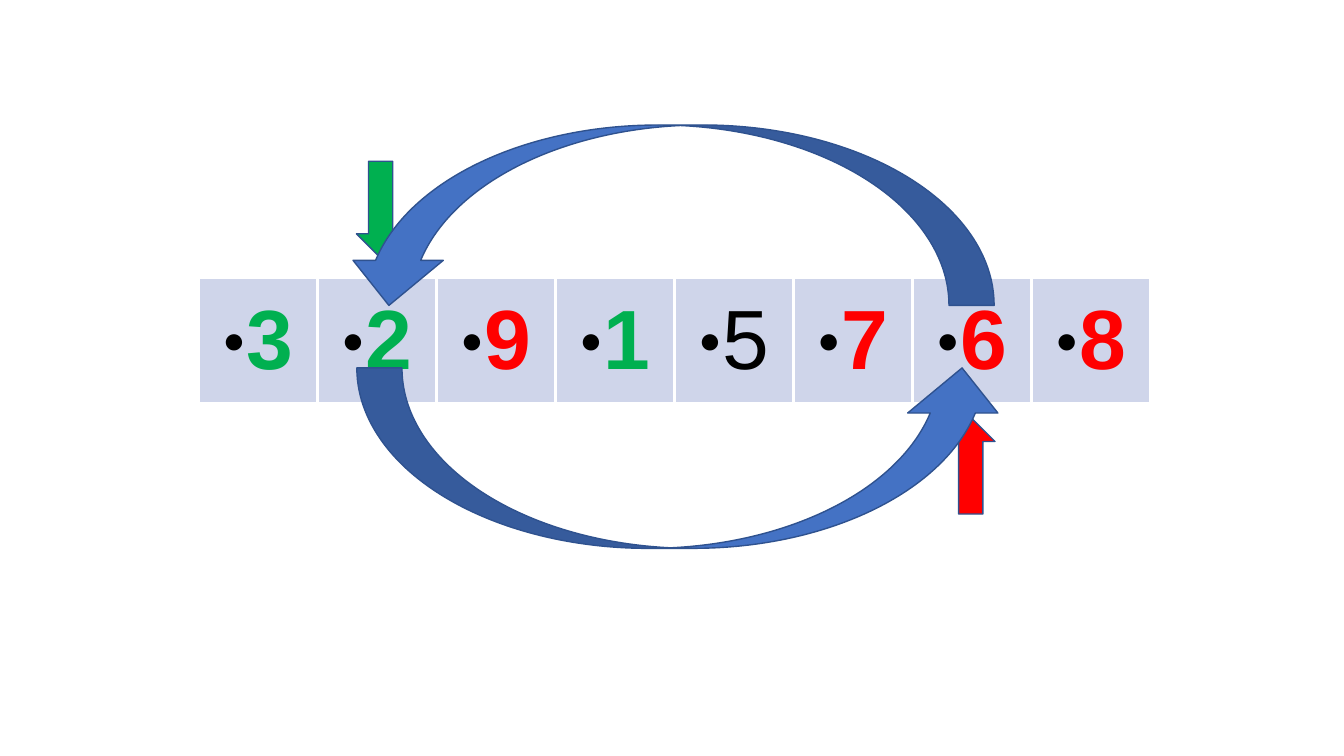
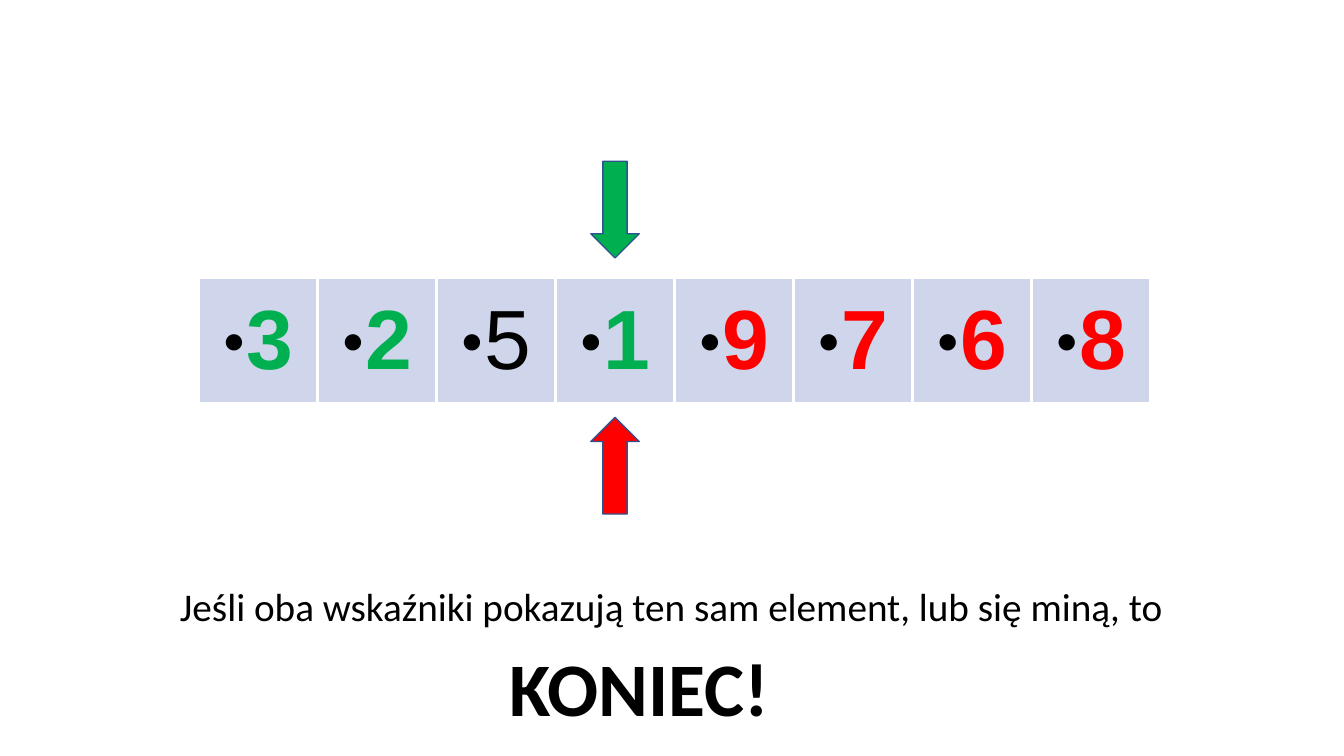
from lxml import etree
from pptx import Presentation, util as u
from pptx.dml.color import RGBColor
from pptx.enum import shapes, text
from pptx.oxml.ns import qn

GREEN = RGBColor(0x00, 0xB0, 0x50)
RED = RGBColor(0xFF, 0x00, 0x00)
BLACK = RGBColor(0x00, 0x00, 0x00)
WHITE = RGBColor(0xFF, 0xFF, 0xFF)
CELL_FILL = RGBColor(0xCF, 0xD5, 0xEA)
SWAP_BLUE = RGBColor(0x44, 0x72, 0xC4)
OUTLINE = RGBColor(0x2F, 0x52, 0x8F)

PIVOT = 5
COLUMN, ROW = u.Inches(1.18), u.Inches(1.24)
LEFT, TOP = u.Inches(1.97), u.Inches(2.76)
POINTER_WIDTH, POINTER_HEIGHT = u.Inches(0.48), u.Inches(0.96)
GREEN_TOP, RED_TOP = u.Inches(1.6), u.Inches(4.14)
SWAP_WIDTH, SWAP_HEIGHT = u.Inches(6.45), u.Inches(1.79)
INDENT = u.Inches(0.24)

# Pointers are column positions; swaps are (left column, top in inches, rotation).
STEPS = [
    dict(numbers=[3, 2, 9, 1, 5, 7, 6, 8], pointers=(1.53, 6.49),
         swaps=[(1.33, 3.65, 0), (1.22, 1.24, 180)], captions=[]),
    dict(numbers=[3, 2, 5, 1, 9, 7, 6, 8], pointers=(3.5, 3.5), swaps=[],
         captions=[
             ("Jeśli oba wskaźniki pokazują ten sam element, lub się miną, to",
              (0.54, 5.73, 12.23, 0.57), 28, False, True),
             ("KONIEC!", (4.95, 6.31, 2.78, 1), 54, True, False)]),
]


def add_arrow(slide, preset, left, top, width, height, color):
    arrow = slide.shapes.add_shape(preset, int(left), int(top), width, height)
    arrow.shadow.inherit = False
    arrow.fill.solid()
    arrow.fill.fore_color.rgb = color
    arrow.line.color.rgb = OUTLINE
    arrow.line.width = u.Pt(1)
    return arrow


def add_bullet_and_borders(cell):
    """Give the cell's paragraph a small black bullet and the cell white borders."""
    properties = cell.text_frame.paragraphs[0]._p.get_or_add_pPr()
    properties.set("marL", str(INDENT))
    properties.set("indent", str(-INDENT))
    color = etree.SubElement(properties, qn("a:buClr"))
    etree.SubElement(color, qn("a:srgbClr"), val=str(BLACK))
    etree.SubElement(properties, qn("a:buSzPct"), val="45000")
    etree.SubElement(properties, qn("a:buFont"), typeface="Arial")
    etree.SubElement(properties, qn("a:buChar"), char="●")
    cell_properties = cell._tc.get_or_add_tcPr()
    for position, side in enumerate(("lnL", "lnR", "lnT", "lnB")):
        border = etree.Element(qn(f"a:{side}"), w=str(u.Pt(1.98)))
        fill = etree.SubElement(border, qn("a:solidFill"))
        etree.SubElement(fill, qn("a:srgbClr"), val=str(WHITE))
        cell_properties.insert(position, border)


presentation = Presentation()
presentation.slide_width = u.Inches(13.33)
presentation.slide_height = u.Inches(7.5)

for step in STEPS:
    slide = presentation.slides.add_slide(presentation.slide_layouts[6])

    numbers = step["numbers"]
    table = slide.shapes.add_table(
        1, len(numbers), LEFT, TOP, COLUMN * len(numbers), ROW).table
    table.first_row = table.horz_banding = False
    for index, number in enumerate(numbers):
        table.columns[index].width = COLUMN
        cell = table.cell(0, index)
        cell.fill.solid()
        cell.fill.fore_color.rgb = CELL_FILL
        cell.vertical_anchor = text.MSO_ANCHOR.MIDDLE
        cell.text_frame.text = str(number)
        paragraph = cell.text_frame.paragraphs[0]
        paragraph.alignment = text.PP_ALIGN.CENTER
        add_bullet_and_borders(cell)
        font = paragraph.runs[0].font
        font.name, font.size = "Arial", u.Pt(60)
        font.bold = number != PIVOT
        font.color.rgb = (BLACK if number == PIVOT
                          else GREEN if number < PIVOT else RED)

    pointer_styles = [(shapes.MSO_SHAPE.DOWN_ARROW, GREEN_TOP, GREEN),
                      (shapes.MSO_SHAPE.UP_ARROW, RED_TOP, RED)]
    for column, (preset, top, color) in zip(step["pointers"], pointer_styles):
        add_arrow(slide, preset, LEFT + column * COLUMN - POINTER_WIDTH / 2, top,
                  POINTER_WIDTH, POINTER_HEIGHT, color)

    for column, top, rotation in step["swaps"]:
        swap = add_arrow(slide, shapes.MSO_SHAPE.CURVED_UP_ARROW,
                         LEFT + column * COLUMN, u.Inches(top),
                         SWAP_WIDTH, SWAP_HEIGHT, SWAP_BLUE)
        swap.rotation = rotation

    for words, box, size, bold, wrap in step["captions"]:
        caption = slide.shapes.add_textbox(*[u.Inches(length) for length in box])
        caption.text_frame.word_wrap = wrap
        caption.text_frame.auto_size = text.MSO_AUTO_SIZE.SHAPE_TO_FIT_TEXT
        caption.text_frame.text = words
        paragraph = caption.text_frame.paragraphs[0]
        paragraph.alignment = text.PP_ALIGN.CENTER
        font = paragraph.runs[0].font
        font.name, font.size, font.bold = "Calibri", u.Pt(size), bold
        font.color.rgb = BLACK

presentation.save("out.pptx")
